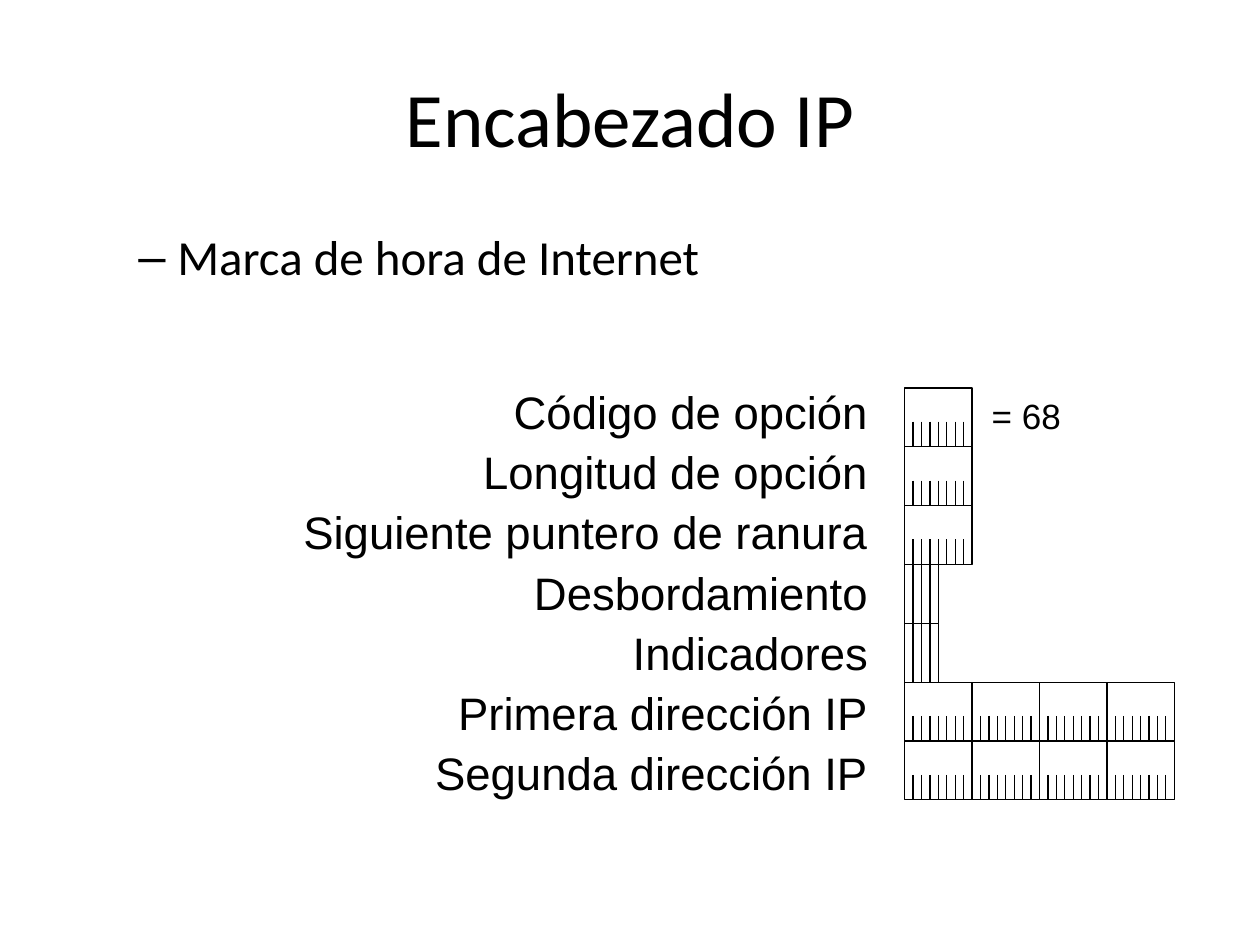
from dataclasses import dataclass, field
from lxml.etree import SubElement
from pptx import Presentation
from pptx.dml.color import RGBColor
from pptx.enum.shapes import MSO_CONNECTOR, MSO_SHAPE
from pptx.enum.text import MSO_ANCHOR, PP_ALIGN
from pptx.oxml.ns import qn
from pptx.util import Emu, Inches, Pt

COLORS = {"ink": "000000", "paper": "FFFFFF"}
FIELDS = ["Código de opción", "Longitud de opción", "Siguiente puntero de ranura",
          "Desbordamiento", "Indicadores", "Primera dirección IP", "Segunda dirección IP"]
BITS_PER_BYTE = 8
OPTION_ROWS, NIBBLE_ROWS, ADDRESS_ROWS = (0, 1, 2), (3, 4), (5, 6)
ADDRESS_BYTES = 4


@dataclass
class HeaderSlide:
    """Styles and draws a packet header on a grid of one column per bit and one row per field."""
    slide: object
    left: Emu = Inches(7.18)
    top: Emu = Inches(3.08)
    bit: Emu = Inches(0.535 / BITS_PER_BYTE)
    row: Emu = Inches(0.467)
    tick_start: float = 4 / 7
    line_width: Emu = Pt(0.75)
    colors: dict = field(default_factory=lambda: COLORS)

    def color(self, name):
        return RGBColor.from_string(self.colors[name])

    def place(self, column, row):
        return round(self.left + column * self.bit), round(self.top + row * self.row)

    def format(self, frame, size, font, align, before=0):
        for paragraph in frame.paragraphs:
            paragraph.alignment = align
            paragraph.space_before = Pt(before)
            for run in paragraph.runs:
                run.font.size = Pt(size)
                run.font.name = font
                run.font.color.rgb = self.color("ink")

    def title(self, wording, box):
        heading = self.slide.shapes.title
        heading.left, heading.top, heading.width, heading.height = map(Inches, box)
        heading.text_frame.text = wording
        heading.text_frame.vertical_anchor = MSO_ANCHOR.MIDDLE
        self.format(heading.text_frame, 44, "Calibri", PP_ALIGN.CENTER)

    def text(self, wording, box, size, font="Arial", align=PP_ALIGN.LEFT, before=0, wrap=True):
        frame = self.slide.shapes.add_textbox(*map(Inches, box)).text_frame
        frame.word_wrap = wrap
        frame.text = wording
        self.format(frame, size, font, align, before)
        return frame

    def dash_bullet(self, paragraph, margin, indent):
        properties = paragraph._p.get_or_add_pPr()
        properties.set("marL", str(Inches(margin)))
        properties.set("indent", str(Inches(indent)))
        SubElement(properties, qn("a:buFont"), typeface="Arial")
        SubElement(properties, qn("a:buChar"), char="–")

    def group(self):
        return self.slide.shapes.add_group_shape().shapes

    def cell(self, group, column, row, bits):
        x, y = self.place(column, row)
        right, bottom = self.place(column + bits, row + 1)
        cell = group.add_shape(MSO_SHAPE.RECTANGLE, x, y, right - x, bottom - y)
        cell.shadow.inherit = False
        cell.fill.solid()
        cell.fill.fore_color.rgb = self.color("paper")
        cell.line.color.rgb = self.color("ink")
        cell.line.width = self.line_width

    def tick(self, group, column, row):
        start = self.place(column, row + self.tick_start)
        end = self.place(column, row + 1)
        tick = group.add_connector(MSO_CONNECTOR.STRAIGHT, *start, *end)
        tick.line.color.rgb = self.color("ink")
        tick.line.width = self.line_width
        SubElement(tick._element.spPr, qn("a:effectLst"))

    def byte(self, group, position, row):
        first_bit = position * BITS_PER_BYTE
        self.cell(group, first_bit, row, BITS_PER_BYTE)
        for bit in range(1, BITS_PER_BYTE):
            self.tick(group, first_bit + bit, row)


def main():
    deck = Presentation()
    deck.slide_width, deck.slide_height = Inches(10), Inches(7.5)
    header = HeaderSlide(deck.slides.add_slide(deck.slide_layouts[5]))

    header.title("Encabezado IP", (0.5, 0.3, 9, 1.25))
    topic = header.text("Marca de hora de Internet", (0.5, 1.75, 9, 4.95), 28, "Calibri")
    header.dash_bullet(topic.paragraphs[0], 0.81, -0.31)
    header.text("\n".join(FIELDS), (1.33, 3, 5.66, 3.33), 26, align=PP_ALIGN.RIGHT, before=3.2)
    header.text("= 68", (7.77, 3.08, 0.75, 0.43), 20, align=PP_ALIGN.CENTER, wrap=False)

    for rows, byte_count in ((OPTION_ROWS, 1), (ADDRESS_ROWS, ADDRESS_BYTES)):
        byte_group = header.group()
        for row in rows:
            for position in range(byte_count):
                header.byte(byte_group, position, row)

    nibble_group = header.group()
    for row in NIBBLE_ROWS:
        for bit in range(BITS_PER_BYTE // 2):
            header.cell(nibble_group, bit, row, 1)

    deck.save("out.pptx")


if __name__ == "__main__":
    main()
